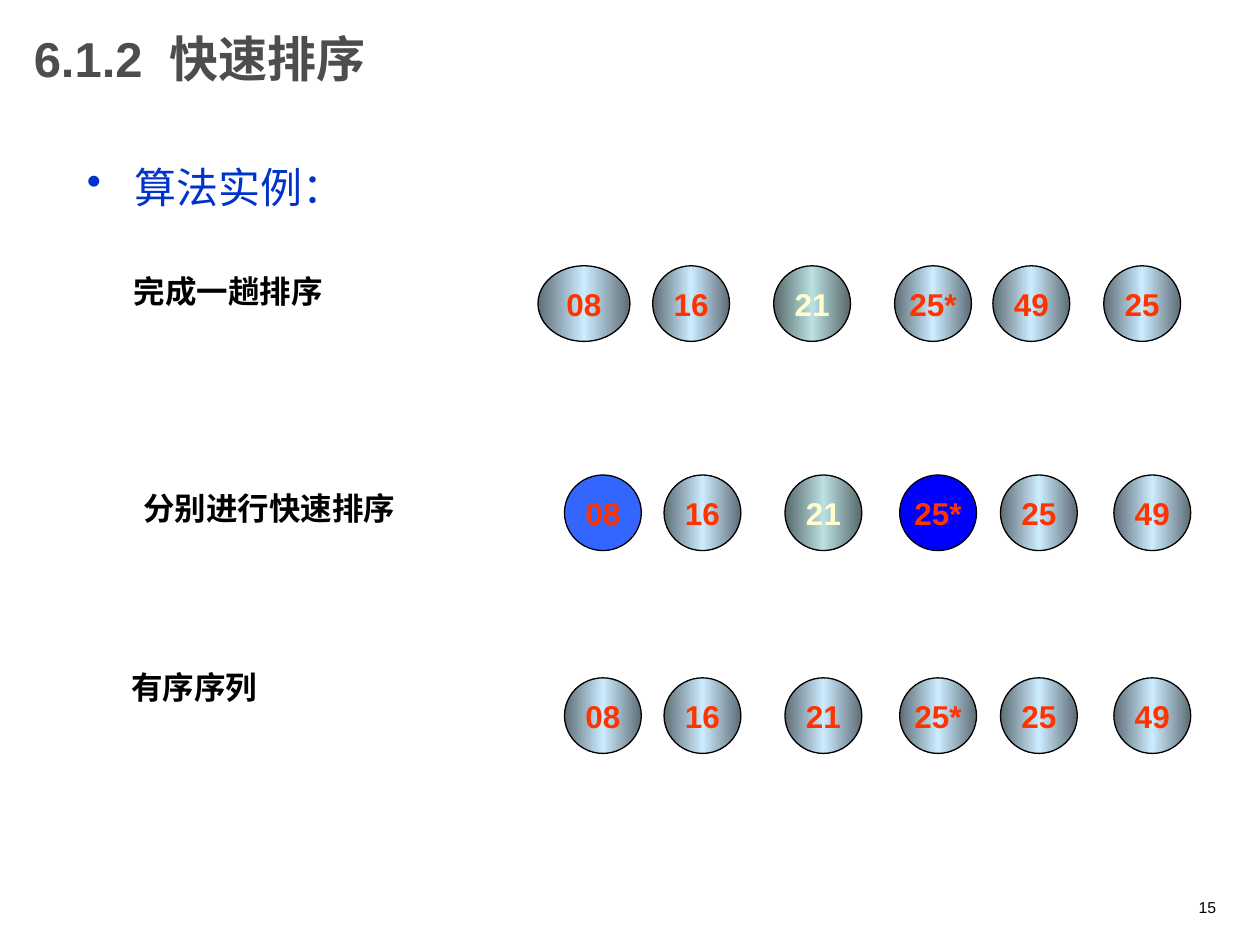
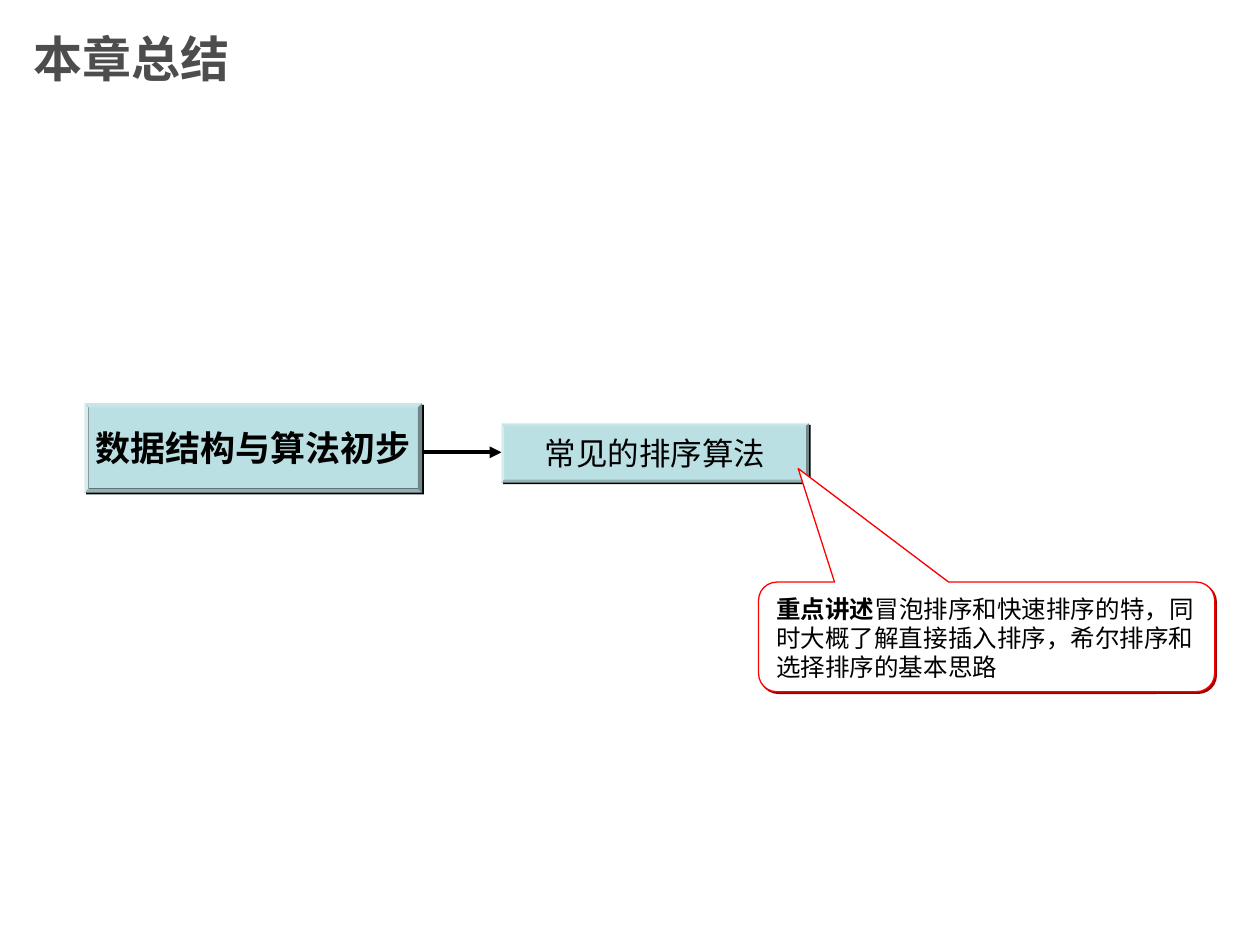
from copy import deepcopy
from dataclasses import dataclass
from typing import NamedTuple

from lxml.etree import SubElement
from pptx import Presentation
from pptx.dml.color import RGBColor
from pptx.enum.shapes import MSO_CONNECTOR, MSO_SHAPE
from pptx.enum.text import MSO_ANCHOR, MSO_AUTO_SIZE, PP_ALIGN
from pptx.oxml.ns import qn
from pptx.util import Emu, Inches, Pt

SLIDE_WIDTH, SLIDE_HEIGHT = Inches(10), Inches(7.5)
COLUMNS, ROWS = 100, 75
HAN_FONT = "Noto Sans CJK SC"
BLACK, GREY, BLUE, RED = "000000", "4D4D4D", "0033CC", "FF0000"
PANEL, WHITE, DARK_RED = "BBE0E3", "FFFFFF", "990000"


class Box(NamedTuple):
    left: float
    top: float
    width: float
    height: float


@dataclass(frozen=True)
class Style:
    size: float
    color: str = BLACK
    bold: bool = False
    font: str = "Arial"
    align: PP_ALIGN = PP_ALIGN.LEFT


@dataclass(frozen=True)
class BallLook:
    fills: tuple[str, ...]
    text: str = "FF3300"


@dataclass(frozen=True)
class Stage:
    label: str
    label_box: Box
    top: float
    lefts: tuple[float, ...]
    keys: tuple[str, ...]
    looks: dict[str, BallLook]
    first_width: float = 6.1


TITLE = Style(28, GREY, True)
HEADING = Style(24, BLUE)
PAGE_NUMBER = Style(9, align=PP_ALIGN.RIGHT)
STAGE_LABEL = Style(18, bold=True, font="Times New Roman", align=PP_ALIGN.CENTER)
TITLE_BOX = Box(1.7, 0, 75, 9.2)

PLAIN = BallLook(("5E6D76", "CCECFF", "5E6D76"))
PIVOT = BallLook(("576869", "BBE0E3", "576869"), "FFFFCC")
LEFT_PART = BallLook(("3366FF",))
RIGHT_PART = BallLook(("0000FF",))

SORTED_LEFTS = (44.8, 52.7, 62.3, 71.4, 79.4, 88.4)
SORTED_KEYS = ("08", "16", "21", "25*", "25", "49")
STAGES = (
    Stage("完成一趟排序", Box(4, 21.1, 28.2, 4), 21.1,
          (42.7, 51.8, 61.4, 71, 78.8, 87.6),
          ("08", "16", "21", "25*", "49", "25"), {"21": PIVOT}, 7.3),
    Stage("分别进行快速排序", Box(3.1, 38.3, 36.5, 4), 37.7,
          SORTED_LEFTS, SORTED_KEYS,
          {"08": LEFT_PART, "21": PIVOT, "25*": RIGHT_PART}),
    Stage("有序序列", Box(5, 52.5, 20.8, 4), 53.8,
          SORTED_LEFTS, SORTED_KEYS, {}),
)


def rgb(value: str) -> RGBColor:
    return RGBColor.from_string(value)


def across(columns: float) -> Emu:
    return Emu(round(SLIDE_WIDTH * columns / COLUMNS))


def down(rows: float) -> Emu:
    return Emu(round(SLIDE_HEIGHT * rows / ROWS))


def place(box: Box) -> tuple[Emu, Emu, Emu, Emu]:
    return across(box.left), down(box.top), across(box.width), down(box.height)


def style_paragraph(paragraph, style: Style) -> None:
    paragraph.alignment = style.align
    font = paragraph.font
    font.size, font.bold, font.name = Pt(style.size), style.bold, style.font
    font.color.rgb = rgb(style.color)
    defaults = paragraph._p.pPr.find(qn("a:defRPr"))
    SubElement(defaults, qn("a:ea"), typeface=HAN_FONT)


def add_text(slide, box: Box, words: str, style: Style, anchor=MSO_ANCHOR.TOP):
    frame = slide.shapes.add_textbox(*place(box)).text_frame
    frame.word_wrap = True
    frame.vertical_anchor = anchor
    paragraph = frame.paragraphs[0]
    paragraph.text = words
    style_paragraph(paragraph, style)
    return frame


def add_title(slide, words: str, number: str = "") -> None:
    frame = add_text(slide, TITLE_BOX, "", TITLE, MSO_ANCHOR.MIDDLE)
    paragraph = frame.paragraphs[0]
    if number:
        paragraph.add_run().text = number
        gap = paragraph.add_run()
        gap.text = " "
        gap._r.get_or_add_rPr().set("spc", "780")
    paragraph.add_run().text = words


def add_heading(slide, words: str) -> None:
    frame = slide.shapes.add_textbox(*place(Box(5.9, 12.3, 92.1, 52.8))).text_frame
    frame.word_wrap = True
    paragraph = frame.paragraphs[0]
    paragraph.text = words
    properties = paragraph._p.get_or_add_pPr()
    indent = across(3.8)
    properties.set("marL", str(indent))
    properties.set("indent", str(-indent))
    bullet_color = SubElement(properties, qn("a:buClr"))
    SubElement(bullet_color, qn("a:srgbClr"), val=BLUE)
    SubElement(properties, qn("a:buChar"), char="•")
    style_paragraph(paragraph, HEADING)


def fill_shape(shape, colors: tuple[str, ...]) -> None:
    if len(colors) == 1:
        shape.fill.solid()
        shape.fill.fore_color.rgb = rgb(colors[0])
        return
    shape.fill.gradient()
    shape.fill.gradient_angle = 0
    stop_list = shape._element.spPr.find(f".//{qn('a:gsLst')}")
    stop_list.append(deepcopy(stop_list[0]))
    for index, (stop, color) in enumerate(zip(shape.fill.gradient_stops, colors)):
        stop.color.rgb = rgb(color)
        stop.position = index / (len(colors) - 1)


def add_figure(slide, kind: MSO_SHAPE, box: Box, fills: tuple[str, ...],
               outline: str = "", shadow: str = ""):
    figure = slide.shapes.add_shape(kind, *place(box))
    figure.shadow.inherit = False
    fill_shape(figure, fills)
    if outline:
        figure.line.color.rgb = rgb(outline)
        figure.line.width = Pt(0.75)
    else:
        figure.line.fill.background()
    if shadow:
        effects = figure._element.spPr.find(qn("a:effectLst"))
        outer = SubElement(effects, qn("a:outerShdw"), blurRad="0",
                           dist=str(Pt(1.4)), dir=str(45 * 60000),
                           algn="ctr", rotWithShape="0")
        SubElement(outer, qn("a:srgbClr"), val=shadow)
    return figure


def write_centered(figure, words: str, style: Style) -> None:
    frame = figure.text_frame
    frame.word_wrap = False
    frame.vertical_anchor = MSO_ANCHOR.MIDDLE
    frame.paragraphs[0].text = words
    style_paragraph(frame.paragraphs[0], style)


def add_stage(slide, stage: Stage) -> None:
    label = add_text(slide, stage.label_box, stage.label, STAGE_LABEL)
    label.auto_size = MSO_AUTO_SIZE.SHAPE_TO_FIT_TEXT
    for index, (left, key) in enumerate(zip(stage.lefts, stage.keys)):
        look = stage.looks.get(key, PLAIN)
        width = 6.1 if index else stage.first_width
        ball = add_figure(slide, MSO_SHAPE.OVAL, Box(left, stage.top, width, 6),
                          look.fills, BLACK)
        write_centered(ball, key, Style(18, look.text, True, align=PP_ALIGN.CENTER))


def add_topic(slide, box: Box, words: str, size: float, bold: bool) -> None:
    topic = add_figure(slide, MSO_SHAPE.BEVEL, box, (PANEL,), shadow=BLACK)
    topic.adjustments[0] = 0.047
    write_centered(topic, words, Style(size, BLACK, bold, HAN_FONT, PP_ALIGN.CENTER))


def add_arrow(slide, start: float, end: float, row: float) -> None:
    arrow = slide.shapes.add_connector(
        MSO_CONNECTOR.STRAIGHT, across(start), down(row), across(end), down(row))
    arrow.line.color.rgb = rgb(BLACK)
    arrow.line.width = Pt(2.25)
    SubElement(arrow.line._get_or_add_ln(), qn("a:tailEnd"), type="triangle")
    SubElement(arrow._element.spPr, qn("a:effectLst"))


def add_callout(slide, box: Box, emphasis: str, words: str) -> None:
    callout = add_figure(slide, MSO_SHAPE.ROUNDED_RECTANGULAR_CALLOUT, box,
                         (WHITE,), RED, DARK_RED)
    for index, value in enumerate((-0.413, -1.536, 0.167)):
        callout.adjustments[index] = value
    frame = callout.text_frame
    frame.word_wrap = True
    frame.vertical_anchor = MSO_ANCHOR.TOP
    paragraph = frame.paragraphs[0]
    style_paragraph(paragraph, Style(14, font="Arial Narrow"))
    lead = paragraph.add_run()
    lead.text = emphasis
    lead.font.bold = True
    paragraph.add_run().text = words


def build_quick_sort(slide) -> None:
    add_title(slide, "快速排序", "6.1.2")
    add_heading(slide, "算法实例：")
    add_text(slide, Box(91.7, 70.8, 5.8, 3.3), "15", PAGE_NUMBER)
    for stage in STAGES:
        add_stage(slide, stage)


def build_summary(slide) -> None:
    add_title(slide, "本章总结")
    add_topic(slide, Box(6.7, 32, 26.8, 7.1), "数据结构与算法初步", 20, True)
    add_arrow(slide, 33.5, 39.8, 35.9)
    add_topic(slide, Box(39.8, 33.6, 24.4, 4.7), "常见的排序算法", 18, False)
    add_callout(slide, Box(60.2, 46.2, 36.2, 8.7), "重点讲述",
                "冒泡排序和快速排序的特，同时大概了解直接插入排序，"
                "希尔排序和选择排序的基本思路")


def main() -> None:
    deck = Presentation()
    deck.slide_width, deck.slide_height = SLIDE_WIDTH, SLIDE_HEIGHT
    blank = deck.slide_layouts[6]
    for build in (build_quick_sort, build_summary):
        build(deck.slides.add_slide(blank))
    deck.save("out.pptx")


if __name__ == "__main__":
    main()
